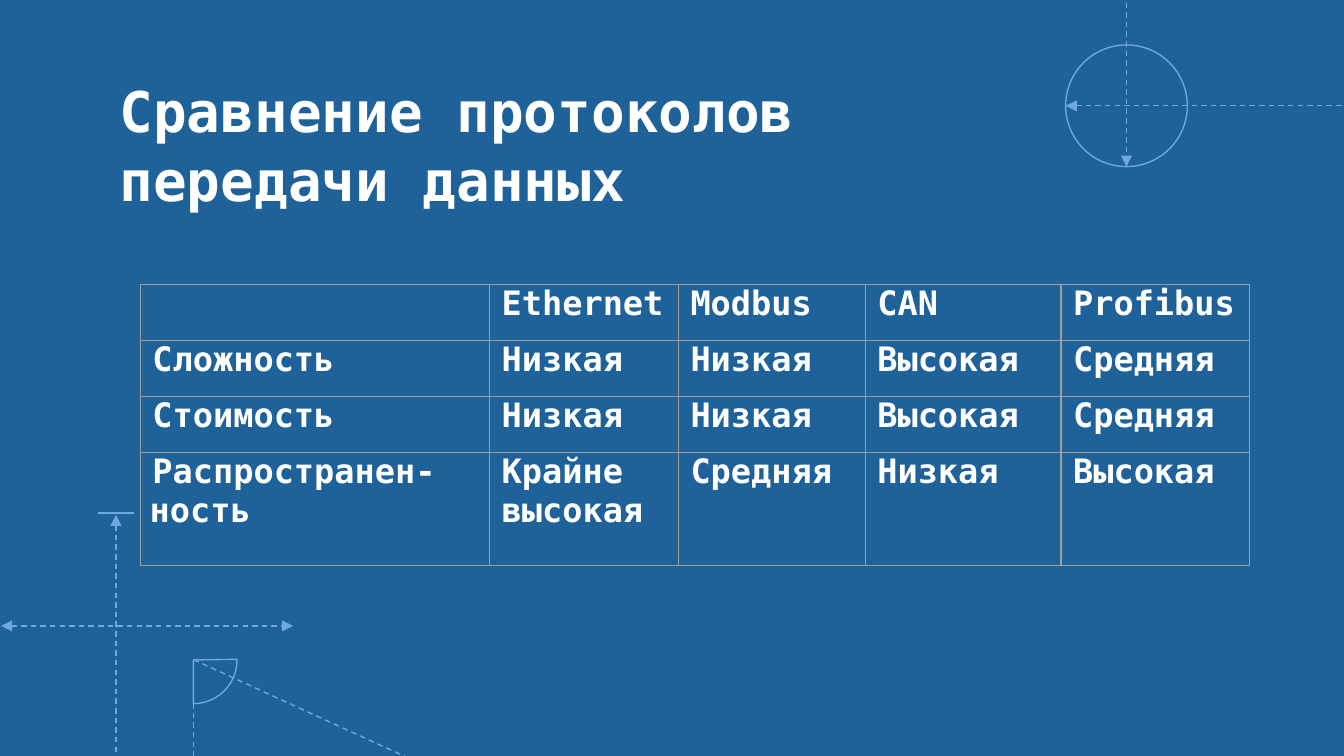
from dataclasses import dataclass

from lxml import etree
from pptx import Presentation
from pptx import util as u
from pptx.dml.color import RGBColor
from pptx.enum import dml, shapes, text
from pptx.oxml import ns

COLOURS = {"ground": "1F6299", "drawing": "6FA8DC", "text": "FFFFFF", "border": "9E9E9E"}


def colour(name):
    return RGBColor.from_string(COLOURS[name])


def add_xml(parent, tag, **attributes):
    return etree.SubElement(parent, ns.qn(tag), attributes)


@dataclass
class Blueprint:
    slide: object
    font: str = "DejaVu Sans Mono"
    stroke: float = 0.75

    def background(self):
        fill = self.slide.background.fill
        fill.solid()
        fill.fore_color.rgb = colour("ground")

    def outline(self, line):
        line.color.rgb = colour("drawing")
        line.width = u.Pt(self.stroke)

    def line(self, x1, y1, x2, y2, dashed=True, arrows=False):
        axis = self.slide.shapes.add_connector(
            shapes.MSO_CONNECTOR.STRAIGHT, u.Cm(x1), u.Cm(y1), u.Cm(x2), u.Cm(y2))
        self.outline(axis.line)
        if dashed:
            axis.line.dash_style = dml.MSO_LINE.DASH
        if arrows:
            for end in ("a:headEnd", "a:tailEnd"):
                add_xml(axis._element.spPr.find(ns.qn("a:ln")), end, type="triangle")
        add_xml(axis._element.spPr, "a:effectLst")

    def figure(self, kind, x, y, size, rotation=0, angles=()):
        figure = self.slide.shapes.add_shape(kind, u.Cm(x), u.Cm(y), u.Cm(size), u.Cm(size))
        figure.shadow.inherit = False
        figure.fill.background()
        self.outline(figure.line)
        figure.rotation = rotation
        for index, angle in enumerate(angles):
            figure.adjustments[index] = angle

    def add_lines(self, frame, lines, size):
        for index, words in enumerate(lines):
            paragraph = frame.add_paragraph() if index else frame.paragraphs[0]
            run = paragraph.add_run()
            run.text = words
            run.font.name = self.font
            run.font.size = u.Pt(size)
            run.font.bold = True
            run.font.color.rgb = colour("text")

    def title(self, x, y, width, height, lines):
        frame = self.slide.shapes.add_textbox(
            u.Cm(x), u.Cm(y), u.Cm(width), u.Cm(height)).text_frame
        frame.word_wrap = True
        frame.vertical_anchor = text.MSO_ANCHOR.TOP
        frame.margin_top = u.Cm(0.15)
        self.add_lines(frame, lines, 30)
        for paragraph in frame.paragraphs:
            paragraph.line_spacing = 1.04

    def border(self, cell):
        properties = cell._tc.get_or_add_tcPr()
        for index, side in enumerate(("a:lnL", "a:lnR", "a:lnT", "a:lnB")):
            edge = etree.Element(ns.qn(side), w=str(u.Pt(self.stroke)))
            fill = add_xml(edge, "a:solidFill")
            add_xml(fill, "a:srgbClr", val=COLOURS["border"])
            properties.insert(index, edge)

    def cell(self, cell, words):
        cell.fill.background()
        cell.margin_left = cell.margin_right = u.Cm(0.18)
        cell.margin_top = cell.margin_bottom = 0
        self.add_lines(cell.text_frame, words.split("\n") if words else [], 18)
        for paragraph in cell.text_frame.paragraphs:
            paragraph._p.get_or_add_pPr().set("indent", str(u.Cm(0.05)))
        self.border(cell)

    def table(self, x, y, widths, heights, rows):
        table = self.slide.shapes.add_table(
            len(rows), len(widths), u.Cm(x), u.Cm(y),
            u.Cm(sum(widths)), u.Cm(sum(heights))).table
        table.first_row = table.horz_banding = False
        for column, width in zip(table.columns, widths):
            column.width = u.Cm(width)
        for row, height, entries in zip(table.rows, heights, rows):
            row.height = u.Cm(height)
            for cell, words in zip(row.cells, entries):
                self.cell(cell, words)


def main():
    deck = Presentation()
    deck.slide_width, deck.slide_height = u.Cm(25.4), u.Cm(14.29)
    page = Blueprint(deck.slides.add_slide(deck.slide_layouts[6]))
    page.background()

    page.line(21.29, -0.33, 21.29, 3.15, arrows=True)
    page.line(20.14, 2, 27.1, 2, arrows=True)
    page.figure(shapes.MSO_SHAPE.OVAL, 20.14, 0.85, 2.3)

    page.line(2.19, 9.73, 2.19, 14.91, arrows=True)
    page.line(0.02, 11.83, 5.54, 11.83, arrows=True)
    page.line(2.53, 9.7, 1.85, 9.7, dashed=False)
    page.figure(shapes.MSO_SHAPE.PIE, 2.83, 11.65, 1.65, rotation=180, angles=(107.44, 162))
    page.line(3.66, 13.29, 3.66, 15.88)
    page.line(3.66, 12.47, 9.93, 15.34)

    page.title(2.01, 1.24, 21.41, 2.64, ["Сравнение протоколов", "передачи данных"])
    protocols = [
        ["", "Ethernet", "Modbus", "CAN", "Profibus"],
        ["Сложность", "Низкая", "Низкая", "Высокая", "Средняя"],
        ["Стоимость", "Низкая", "Низкая", "Высокая", "Средняя"],
        ["Распространен-ность", "Крайне\nвысокая", "Средняя", "Низкая", "Высокая"],
    ]
    page.table(2.65, 5.38, [6.6, 3.57, 3.53, 3.7, 3.57], [1.06, 1.06, 1.06, 2.13], protocols)
    deck.save("out.pptx")


if __name__ == "__main__":
    main()
